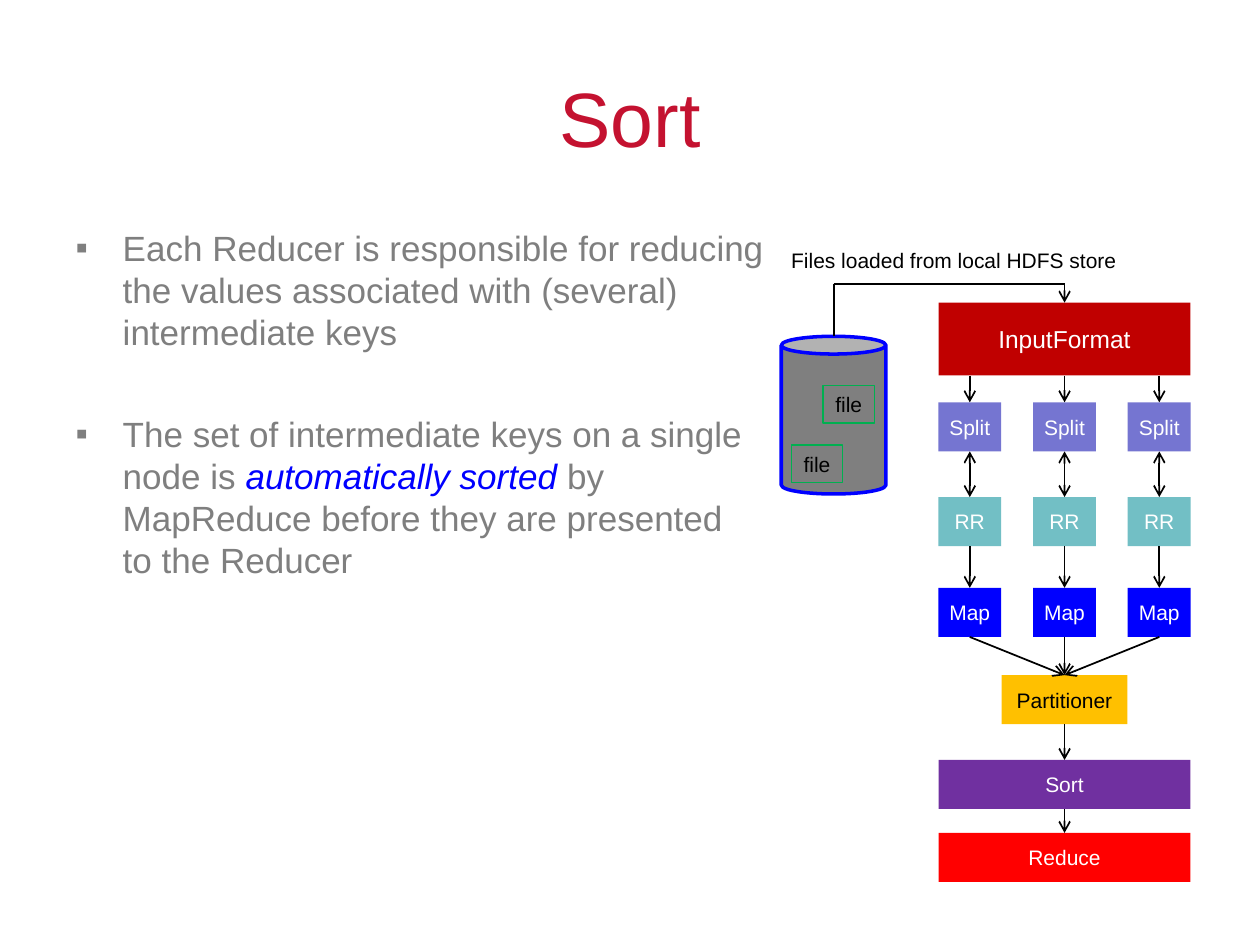
from lxml import etree
from pptx import Presentation
from pptx.dml.color import RGBColor
from pptx.enum import shapes, text
from pptx.oxml.ns import qn
from pptx.util import Cm, Pt

FONT = "Arial"
BLACK = RGBColor(0x00, 0x00, 0x00)
WHITE = RGBColor(0xFF, 0xFF, 0xFF)
GRAY = RGBColor(0x7F, 0x7F, 0x7F)
BLUE = RGBColor(0x00, 0x00, 0xFF)
GREEN = RGBColor(0x00, 0xB0, 0x50)
CRIMSON = RGBColor(0xC4, 0x12, 0x30)
DARK_RED = RGBColor(0xC0, 0x00, 0x00)
LILAC = RGBColor(0x75, 0x75, 0xD1)
TEAL = RGBColor(0x72, 0xBF, 0xC5)
AMBER = RGBColor(0xFF, 0xC0, 0x00)
PURPLE = RGBColor(0x70, 0x30, 0xA0)
RED = RGBColor(0xFF, 0x00, 0x00)

# Content: each bullet is a list of lines, each line a list of (text, emphasised)
TITLE = "Sort"
BULLETS = [
    [[("Each Reducer is responsible for reducing", False)],
     [("the values associated with (several)", False)],
     [("intermediate keys", False)]],
    [[("The set of intermediate keys on a single", False)],
     [("node is ", False), ("automatically sorted ", True), ("by", False)],
     [("MapReduce before they are presented", False)],
     [("to the Reducer", False)]],
]
STORE_LABEL = "Files loaded from local HDFS store"
FILES = [(16.59, 7.77), (15.95, 8.97)]

# Pipeline stages: (label, top, fill); lengths in cm
MAPPER_STAGES = [("Split", 8.11, LILAC), ("RR", 10.02, TEAL), ("Map", 11.85, BLUE)]
CENTER, STEP = 21.46, 1.91
COLUMNS = [CENTER + i * STEP for i in (-1, 0, 1)]
SMALL, MEDIUM, WIDE = 1.27, 2.54, 5.08
STAGE_HEIGHT = 0.99
INPUT_TOP, INPUT_HEIGHT = 6.1, 1.47
STORE_LEFT, STORE_TOP, STORE_WIDTH, STORE_HEIGHT = 15.75, 6.78, 2.11, 3.18
FEED_TOP = 5.72
TOP, BOTTOM = 0, 2


def add_span(para, words, size, color, italic=False):
    span = para.add_run()
    span.text = words
    span.font.name, span.font.size = FONT, Pt(size)
    span.font.color.rgb, span.font.italic = color, italic


def add_stage(label, center, top, width, fill, height=STAGE_HEIGHT,
              size=12, color=WHITE):
    box = page.shapes.add_shape(shapes.MSO_SHAPE.RECTANGLE, Cm(center - width / 2),
                                Cm(top), Cm(width), Cm(height))
    box.shadow.inherit = False
    box.fill.solid()
    box.fill.fore_color.rgb = fill
    box.line.fill.background()
    frame = box.text_frame
    frame.margin_left = frame.margin_right = 0
    frame.vertical_anchor = text.MSO_ANCHOR.MIDDLE
    para = frame.paragraphs[0]
    para.alignment = text.PP_ALIGN.CENTER
    add_span(para, label, size, color)
    return box


def add_label(box, words):
    frame = box.text_frame
    frame.word_wrap = True
    frame.auto_size = text.MSO_AUTO_SIZE.NONE
    frame.margin_right = 0  # leaves the line room to spare
    frame.vertical_anchor = text.MSO_ANCHOR.TOP
    para = frame.paragraphs[0]
    para.alignment = text.PP_ALIGN.LEFT
    add_span(para, words, 12, BLACK)


def add_link(start, end, arrows=("tailEnd",), source=None, target=None):
    """Line between two points, joined to the boxes that are given."""
    link = page.shapes.add_connector(shapes.MSO_CONNECTOR.STRAIGHT,
                                     *(Cm(v) for v in (*start, *end)))
    if source is not None:
        link.begin_connect(source, BOTTOM)
    if target is not None:
        link.end_connect(target, TOP)
    link.line.color.rgb = BLACK
    link.line.width = Pt(1)
    properties = link.element.spPr
    for arrow in arrows:
        etree.SubElement(properties.find(qn("a:ln")), qn("a:" + arrow), type="arrow")
    etree.SubElement(properties, qn("a:effectLst"))


def join(source, target, arrows=("tailEnd",)):
    add_link((0, 0), (0, 0), arrows, source, target)


def place(holder, left, top, width, height):
    holder.left, holder.top = Cm(left), Cm(top)
    holder.width, holder.height = Cm(width), Cm(height)


def add_bullet(para):
    properties = para._p.get_or_add_pPr()
    properties.set("marL", str(Cm(0.95)))
    properties.set("indent", str(Cm(-0.95)))
    color = etree.SubElement(properties, qn("a:buClr"))
    etree.SubElement(color, qn("a:srgbClr"), val=str(GRAY))
    etree.SubElement(properties, qn("a:buFont"), typeface=FONT)
    etree.SubElement(properties, qn("a:buChar"), char="▪")


deck = Presentation()
deck.slide_width, deck.slide_height = Cm(25.4), Cm(19.05)
page = deck.slides.add_slide(deck.slide_layouts[1])

# Title
title = page.shapes.title
place(title, 1.27, 0.76, 22.86, 3.18)
title.text_frame.vertical_anchor = text.MSO_ANCHOR.MIDDLE
title_para = title.text_frame.paragraphs[0]
title_para.alignment = text.PP_ALIGN.CENTER
add_span(title_para, TITLE, 44, CRIMSON)

# Bullets
body = page.placeholders[1]
place(body, 1.27, 4.43, 22.86, 12.57)
body.text_frame.auto_size = text.MSO_AUTO_SIZE.NONE
for number, lines in enumerate(BULLETS):
    para = body.text_frame.add_paragraph() if number else body.text_frame.paragraphs[0]
    add_bullet(para)
    para.line_spacing = Pt(24)
    para.space_before = Pt(34.5 if number else 0)
    for row, line in enumerate(lines):
        if row:
            para.add_line_break()
        for words, emphasised in line:
            add_span(para, words, 20, BLUE if emphasised else GRAY, emphasised)

# File store
store = page.shapes.add_shape(shapes.MSO_SHAPE.CAN, Cm(STORE_LEFT), Cm(STORE_TOP),
                              Cm(STORE_WIDTH), Cm(STORE_HEIGHT))
store.adjustments[0] = 0.17
store.shadow.inherit = False
store.fill.solid()
store.fill.fore_color.rgb = GRAY
store.line.color.rgb = BLUE
store.line.width = Pt(2)
for left, top in FILES:
    file_box = page.shapes.add_shape(shapes.MSO_SHAPE.RECTANGLE, Cm(left), Cm(top),
                                     Cm(1.04), Cm(0.76))
    file_box.shadow.inherit = False
    file_box.fill.background()
    file_box.line.color.rgb = GREEN
    file_box.line.width = Pt(0.75)
    add_label(file_box, "file")
add_label(page.shapes.add_textbox(Cm(15.7), Cm(4.87), Cm(7.06), Cm(0.76)), STORE_LABEL)

# Feed from the store to the input format
input_format = add_stage("InputFormat", CENTER, INPUT_TOP, WIDE, DARK_RED,
                         INPUT_HEIGHT, 14)
store_center = STORE_LEFT + STORE_WIDTH / 2
add_link((store_center, STORE_TOP), (store_center, FEED_TOP), ())
add_link((store_center, FEED_TOP), (CENTER, FEED_TOP), ())
add_link((CENTER, FEED_TOP), (CENTER, INPUT_TOP), target=input_format)

# Three mapper columns that meet at the partitioner
partitioner = add_stage("Partitioner", CENTER, 13.61, MEDIUM, AMBER, color=BLACK)
for center in COLUMNS:
    split, reader, mapper = [add_stage(label, center, top, SMALL, fill)
                             for label, top, fill in MAPPER_STAGES]
    add_link((center, INPUT_TOP + INPUT_HEIGHT), (center, MAPPER_STAGES[0][1]),
             source=input_format if center == CENTER else None, target=split)
    join(split, reader, ("headEnd", "tailEnd"))
    join(reader, mapper)
    join(mapper, partitioner)

# Sort and reduce
sorter = add_stage("Sort", CENTER, 15.32, WIDE, PURPLE)
reducer = add_stage("Reduce", CENTER, 16.79, WIDE, RED)
join(partitioner, sorter)
join(sorter, reducer)

deck.save("out.pptx")
